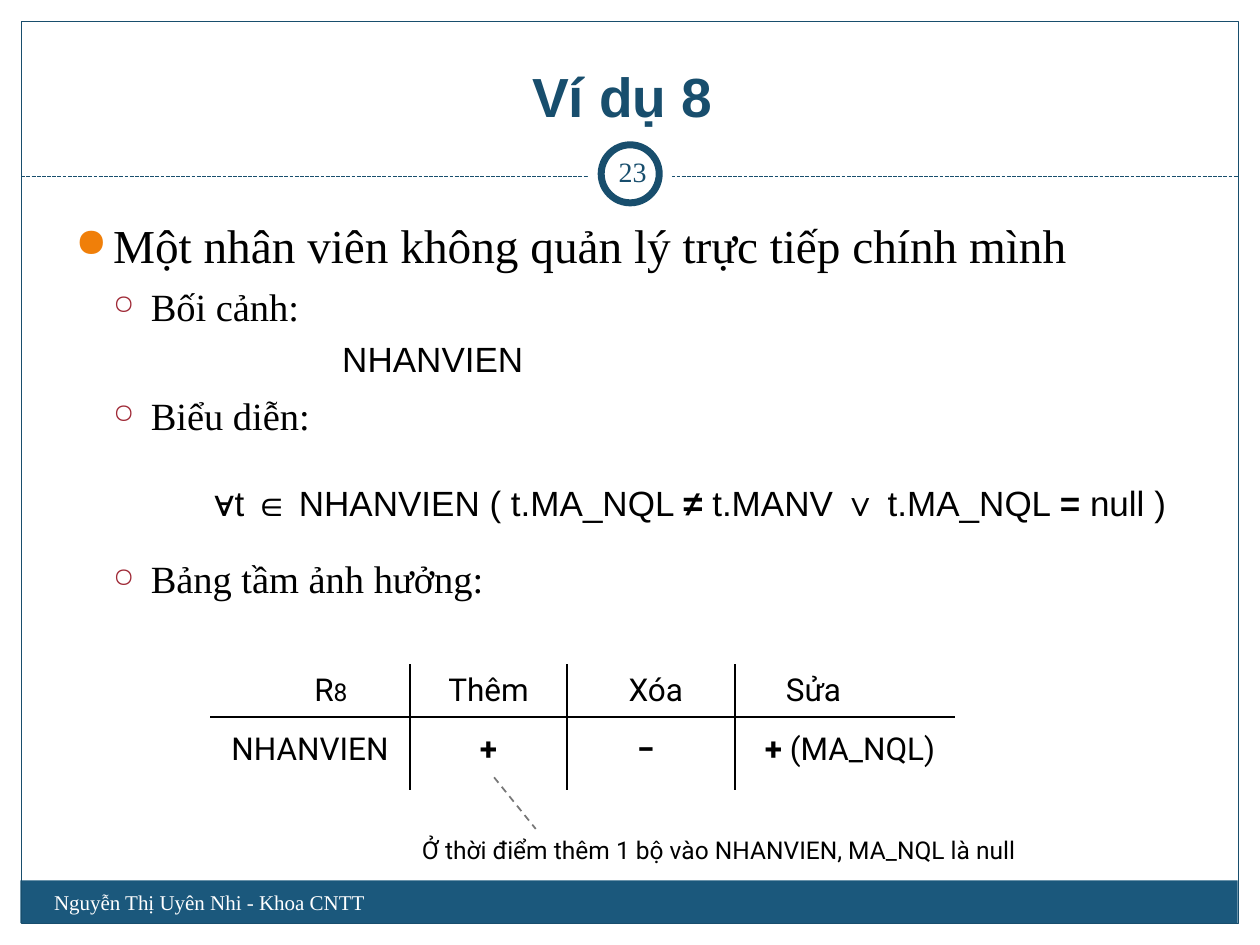
from lxml import etree
from pptx import Presentation
from pptx.dml.color import RGBColor
from pptx.enum.dml import MSO_LINE
from pptx.enum.shapes import MSO_CONNECTOR, MSO_SHAPE
from pptx.enum.text import MSO_ANCHOR, MSO_AUTO_SIZE, PP_ALIGN
from pptx.oxml.ns import qn
from pptx.util import Cm, Pt

LEFT, MID, JUST = PP_ALIGN.LEFT, PP_ALIGN.CENTER, PP_ALIGN.JUSTIFY
TOP, CENTER, BOTTOM = MSO_ANCHOR.TOP, MSO_ANCHOR.MIDDLE, MSO_ANCHOR.BOTTOM
DASH, DOTS = MSO_LINE.DASH, MSO_LINE.SQUARE_DOT
RECT, OVAL = MSO_SHAPE.RECTANGLE, MSO_SHAPE.OVAL

THEME = {
    "navy": "184E6D", "band": "1B587C", "white": "FFFFFF", "black": "000000",
    "grey": "777777", "orange": "F07F09", "red": "9F2936",
    "serif": "Times New Roman", "sans": "Arial", "grid": "Roboto",
    "title": 31.5, "lead": 27, "item": 22, "code": 20, "cell": 18,
    "page": 16, "note": 14, "foot": 12,
}

# A run is (text, bold) or (text, bold, size name).
TITLE = [("Ví dụ 8 ", True)]
# text, level, space before in points
BODY = [
    ("Một nhân viên không quản lý trực tiếp chính mình", 0, 0),
    ("Bối cảnh:", 1, 5.5),
    ("Biểu diễn:", 1, 36),
    ("Bảng tầm ảnh hưởng:", 1, 67),
]
# size name, bullet, bullet colour, bullet percent
LEVELS = [("lead", "●", "orange", 85), ("item", "○", "red", 70)]
SCOPE = [("NHANVIEN", False)]
RULE = [
    ("∀", True), ("t ", False), ("∈", True), (" NHANVIEN ( t.MA_NQL ", False),
    ("≠ ", True), ("t.MANV ", False), ("∨ ", True), ("t.MA_NQL ", False),
    ("=", True), (" null )", False),
]
# Each column: (runs, left, width) of its head, then of its value
GRID = [
    [([("R", False), ("8", False, "note")], 5.08, 3.18),
     ([("NHANVIEN", False)], 4.24, 4.02)],
    [([("Thêm", False)], 8.26, 3.18), ([("+", True)], 8.26, 3.18)],
    [([("Xóa", False)], 11.63, 3.18), ([("−", True)], 11.43, 3.18)],
    [([("Sửa", False)], 14.81, 3.18),
     ([("+", True), (" (MA_NQL)", False)], 14.81, 4.65)],
]
ROWS = [13.39, 14.58]
NOTE = [("Ở thời điểm thêm 1 bộ vào NHANVIEN, MA_NQL là null", False)]
FOOT = [("Nguyễn Thị Uyên Nhi - Khoa CNTT", False)]
PAGE = [("23", False)]


def color(name):
    return RGBColor.from_string(THEME[name])


def style(font, face, size, ink="black", bold=False):
    font.name, font.size = THEME[face], Pt(THEME[size])
    font.bold, font.color.rgb = bold, color(ink)


def write(shape, runs, face, size, ink="black", align=LEFT, anchor=TOP):
    frame = shape.text_frame
    frame.word_wrap, frame.auto_size = True, MSO_AUTO_SIZE.NONE
    frame.vertical_anchor = anchor
    para = frame.paragraphs[0]
    para.alignment = align
    for text, bold, *own in runs:
        run = para.add_run()
        run.text = text
        style(run.font, face, own[0] if own else size, ink, bold)
    return frame


def add_box(slide, box):
    return slide.shapes.add_textbox(*map(Cm, box))


def add_form(slide, kind, box, fill=None, line=None, width=0.75):
    form = slide.shapes.add_shape(kind, *map(Cm, box))
    form.shadow.inherit = False
    if fill:
        form.fill.solid()
        form.fill.fore_color.rgb = color(fill)
    else:
        form.fill.background()
    if line:
        form.line.color.rgb, form.line.width = color(line), Pt(width)
    else:
        form.line.fill.background()


def add_line(slide, ends, ink="black", width=1, dash=None):
    line = slide.shapes.add_connector(MSO_CONNECTOR.STRAIGHT, *map(Cm, ends))
    line.line.color.rgb, line.line.width = color(ink), Pt(width)
    if dash:
        line.line.dash_style = dash
    etree.SubElement(line._element.spPr, qn("a:effectLst"))


def add_bullet(para, level, sign, ink, size):
    props = para._p.get_or_add_pPr()
    props.set("marL", str(Cm(0.76 * (level + 1))))
    props.set("indent", str(-Cm(0.76)))
    tint = etree.SubElement(props, qn("a:buClr"))
    etree.SubElement(tint, qn("a:srgbClr"), val=THEME[ink])
    etree.SubElement(props, qn("a:buSzPct"), val=str(size * 1000))
    etree.SubElement(props, qn("a:buChar"), char=sign)


def add_frame(slide):
    """Border, footer band, divider and page ring."""
    add_form(slide, RECT, (0.41, 17.75, 24.54, 0.86), "band")
    add_form(slide, RECT, (0.43, 0.43, 24.54, 18.19), line="navy")
    add_line(slide, (0.43, 3.56, 24.97, 3.56), "navy", 0.75, DOTS)
    add_form(slide, OVAL, (11.85, 2.67, 1.7, 1.7), "white")
    add_form(slide, OVAL, (12.12, 2.92, 1.17, 1.17), "white", "navy", 4)


def add_body(slide):
    frame = add_box(slide, (1.27, 4.24, 22.86, 13.54)).text_frame
    frame.word_wrap = True
    frame.text = "\n".join(text for text, _, _ in BODY)
    for para, (_, level, gap) in zip(frame.paragraphs, BODY):
        size, *mark = LEVELS[level]
        para.level, para.alignment = level, JUST
        para.space_before = Pt(gap)
        add_bullet(para, level, *mark)
        style(para.runs[0].font, "serif", size)


def add_grid(slide):
    add_line(slide, (4.24, 14.45, 19.25, 14.45))
    for x in (8.26, 11.43, 14.81):
        add_line(slide, (x, 13.39, x, 15.93))
    for col in GRID:
        for top, (runs, left, width) in zip(ROWS, col):
            box = add_box(slide, (left, top, width, 1.02))
            write(box, runs, "grid", "cell", align=MID)


def main():
    deck = Presentation()
    deck.slide_width, deck.slide_height = Cm(25.4), Cm(19.05)
    slide = deck.slides.add_slide(deck.slide_layouts[5])
    add_frame(slide)

    title = slide.shapes.title
    title.left, title.top, title.width, title.height = map(
        Cm, (1.27, 0.99, 22.86, 1.73))
    write(title, TITLE, "sans", "title", "navy", MID, BOTTOM)

    add_body(slide)
    write(add_box(slide, (6.65, 6.68, 4.24, 1.09)), SCOPE, "sans", "code")
    write(add_box(slide, (4.06, 9.58, 20.12, 1.09)), RULE, "sans", "code")
    add_grid(slide)
    write(add_box(slide, (8.26, 16.71, 13.13, 0.84)), NOTE, "grid", "note")
    add_line(slide, (9.96, 15.67, 10.8, 16.71), "grey", dash=DASH)
    write(add_box(slide, (0.84, 17.81, 9.96, 1.02)), FOOT, "serif", "foot",
          "white")
    page = write(add_box(slide, (12.12, 2.84, 1.27, 1.22)), PAGE, "serif",
                 "page", "navy", MID, CENTER)
    page.margin_left = page.margin_right = Cm(0.13)
    deck.save("out.pptx")


if __name__ == "__main__":
    main()
